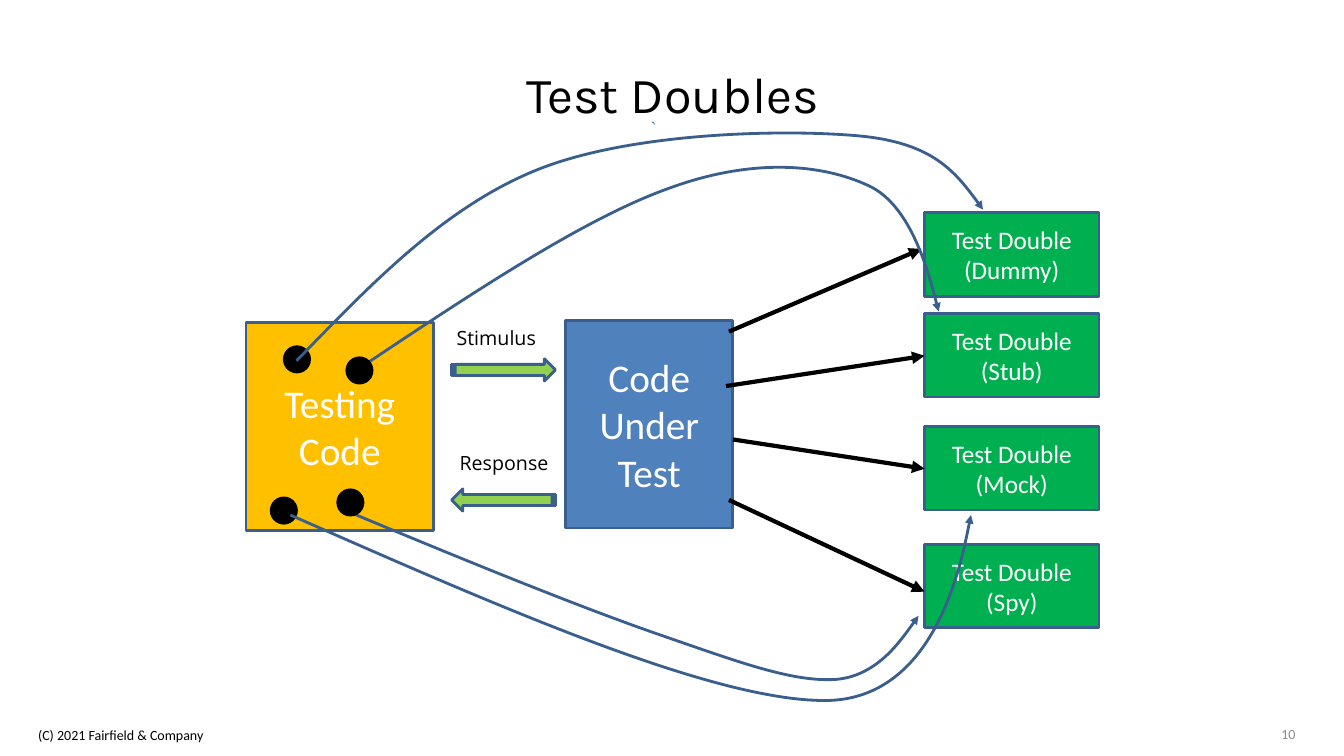
from dataclasses import dataclass

from lxml import etree
from pptx import Presentation
from pptx.dml.color import RGBColor
from pptx.enum.shapes import MSO_CONNECTOR, MSO_SHAPE
from pptx.enum.text import MSO_ANCHOR, MSO_AUTO_SIZE, PP_ALIGN
from pptx.oxml.ns import qn
from pptx.util import Inches, Pt

RECTANGLE = MSO_SHAPE.RECTANGLE
OVAL = MSO_SHAPE.OVAL
ARC = MSO_SHAPE.ARC
STRIPED_ARROW = MSO_SHAPE.STRIPED_RIGHT_ARROW
STRAIGHT = MSO_CONNECTOR.STRAIGHT
LEFT, CENTER = PP_ALIGN.LEFT, PP_ALIGN.CENTER
TOP, MIDDLE, BOTTOM = MSO_ANCHOR.TOP, MSO_ANCHOR.MIDDLE, MSO_ANCHOR.BOTTOM
FIT_SHAPE = MSO_AUTO_SIZE.SHAPE_TO_FIT_TEXT


@dataclass(frozen=True)
class Theme:
    black: str = "000000"
    white: str = "FFFFFF"
    gray: str = "8C8C8C"
    blue: str = "4F81BD"
    outline: str = "3A5F8C"
    arc: str = "4B7EBC"
    amber: str = "FFC000"
    lime: str = "92D050"
    green: str = "00B050"
    title_font: str = "Karla"
    body_font: str = "Calibri"
    label_font: str = "Open Sans"
    title_size: int = 36
    code_size: int = 28
    double_size: int = 18
    label_size: int = 14
    footer_size: int = 10


THEME = Theme()

DOUBLES = [("Dummy", 2.11), ("Stub", 3.11), ("Mock", 4.23), ("Spy", 5.4)]
CALLS = [
    ((7.23, 3.29), (9.14, 2.47)),
    ((7.2, 3.83), (9.17, 3.53)),
    ((7.23, 4.96), (9.17, 5.87)),
    ((7.27, 4.36), (9.17, 4.65)),
]
DOTS_BEHIND = [(2.82, 3.44), (2.69, 4.94)]
DOTS_IN_FRONT = [(3.44, 3.55), (3.35, 4.86)]
# Each curve is a start point, then two control points and an end per segment.
CURVES = [
    [(2.88, 5.11), (4.97, 6.03), (7.06, 6.95), (8.18, 6.95),
     (9.31, 6.95), (9.63, 5.11), (9.63, 5.11)],
    [(2.94, 3.58), (3.68, 2.82), (4.41, 2.05), (5.34, 1.68),
     (6.27, 1.31), (7.79, 1.28), (8.53, 1.35),
     (9.26, 1.42), (9.51, 1.75), (9.75, 2.08)],
    [(3.57, 3.65), (4.68, 2.91), (5.79, 2.17), (6.63, 1.87),
     (7.47, 1.56), (8.16, 1.63), (8.61, 1.84),
     (9.06, 2.04), (9.31, 3.09), (9.31, 3.09)],
    [(3.44, 5.07), (4.59, 5.55), (5.74, 6.02), (6.55, 6.3),
     (7.36, 6.58), (7.87, 6.77), (8.3, 6.74),
     (8.72, 6.7), (9.11, 6.11), (9.11, 6.11)],
]


def write_text(frame, text, size, color, font=THEME.body_font, align=LEFT, anchor=TOP):
    frame.text = text
    frame.vertical_anchor = anchor
    for para in frame.paragraphs:
        para.alignment = align
        para.font.name = font
        para.font.size = Pt(size)
        para.font.color.rgb = RGBColor.from_string(color)


def add_text(page, text, left, top, width, height, wrap=True, **style):
    box = page.shapes.add_textbox(*map(Inches, (left, top, width, height)))
    write_text(box.text_frame, text, **style)
    box.text_frame.word_wrap = wrap
    if not wrap:
        box.text_frame.auto_size = FIT_SHAPE


def set_line(shape, color, width):
    shape.line.color.rgb = RGBColor.from_string(color)
    shape.line.width = Pt(width)


def add_arrowhead(shape):
    outline = shape._element.spPr.find(qn("a:ln"))
    etree.SubElement(outline, qn("a:tailEnd"), type="triangle")


def add_figure(page, kind, left, top, width, height, fill=None,
               line=THEME.outline, weight=2):
    figure = page.shapes.add_shape(kind, *map(Inches, (left, top, width, height)))
    figure.shadow.inherit = False
    if fill:
        figure.fill.solid()
        figure.fill.fore_color.rgb = RGBColor.from_string(fill)
    else:
        figure.fill.background()
    set_line(figure, line, weight)
    return figure


def add_block(page, text, left, top, width, height, fill, size):
    block = add_figure(page, RECTANGLE, left, top, width, height, fill)
    write_text(block.text_frame, text, size, THEME.white, align=CENTER, anchor=MIDDLE)


def add_dots(page, corners):
    for left, top in corners:
        add_figure(page, OVAL, left, top, 0.25, 0.25, THEME.black, THEME.black)


def add_call(page, start, end):
    call = page.shapes.add_connector(STRAIGHT, *map(Inches, (*start, *end)))
    set_line(call, THEME.black, 3)
    add_arrowhead(call)
    etree.SubElement(call._element.spPr, qn("a:effectLst"))


def add_curve(page, points):
    """Draw an open Bezier arrow by joining each three line steps into one curve."""
    start, *rest = [(Inches(x), Inches(y)) for x, y in points]
    builder = page.shapes.build_freeform(*start)
    builder.add_line_segments(rest, close=False)
    curve = builder.convert_to_shape()
    outline = next(curve._element.iter(qn("a:path")))
    steps = outline.findall(qn("a:lnTo"))
    for first in range(0, len(steps), 3):
        segment = etree.SubElement(outline, qn("a:cubicBezTo"))
        for step in steps[first:first + 3]:
            segment.append(step[0])
            outline.remove(step)
    curve.fill.background()
    curve.shadow.inherit = False
    set_line(curve, THEME.outline, 2)
    add_arrowhead(curve)


def add_exchange(page):
    """Add the stimulus and response arrows with their labels."""
    for top, turn in ((3.56, 0), (4.85, 180)):
        arrow = add_figure(page, STRIPED_ARROW, 4.48, top, 1.03, 0.22, THEME.lime)
        arrow.rotation = turn
    for text, left, top, width in (("Stimulus", 4.43, 3.18, 1.11),
                                   ("Response", 4.46, 4.42, 1.15)):
        add_text(page, text, left, top, width, 0.34, wrap=False,
                 size=THEME.label_size, color=THEME.black, font=THEME.label_font)


def main():
    deck = Presentation()
    deck.slide_width, deck.slide_height = Inches(13.33), Inches(7.5)
    page = deck.slides.add_slide(deck.slide_layouts[6])

    add_text(page, "Test Doubles", 0.67, 0.3, 12, 1.25, size=THEME.title_size,
             color=THEME.black, font=THEME.title_font, align=CENTER, anchor=MIDDLE)
    add_text(page, "10", 12.61, 7.01, 0.53, 0.4, size=THEME.footer_size,
             color=THEME.gray, anchor=BOTTOM)

    add_block(page, "Code Under Test", 5.61, 3.18, 1.66, 2.06, THEME.blue, THEME.code_size)
    add_block(page, "Testing Code", 2.44, 3.2, 1.86, 2.06, THEME.amber, THEME.code_size)
    add_exchange(page)
    for name, top in DOUBLES:
        add_block(page, f"Test Double\n({name})", 9.17, top, 1.73, 0.83,
                  THEME.green, THEME.double_size)
    for start, end in CALLS:
        add_call(page, start, end)

    add_dots(page, DOTS_BEHIND)
    add_figure(page, ARC, 6.44, 1.21, 0.05, 0.05, line=THEME.arc, weight=0.75)
    for points in CURVES:
        add_curve(page, points)
    add_dots(page, DOTS_IN_FRONT)

    add_text(page, "(C) 2021 Fairfield & Company", 0.28, 7.02, 2.57, 0.4,
             size=THEME.footer_size, color=THEME.black, anchor=BOTTOM)
    deck.save("out.pptx")


if __name__ == "__main__":
    main()
